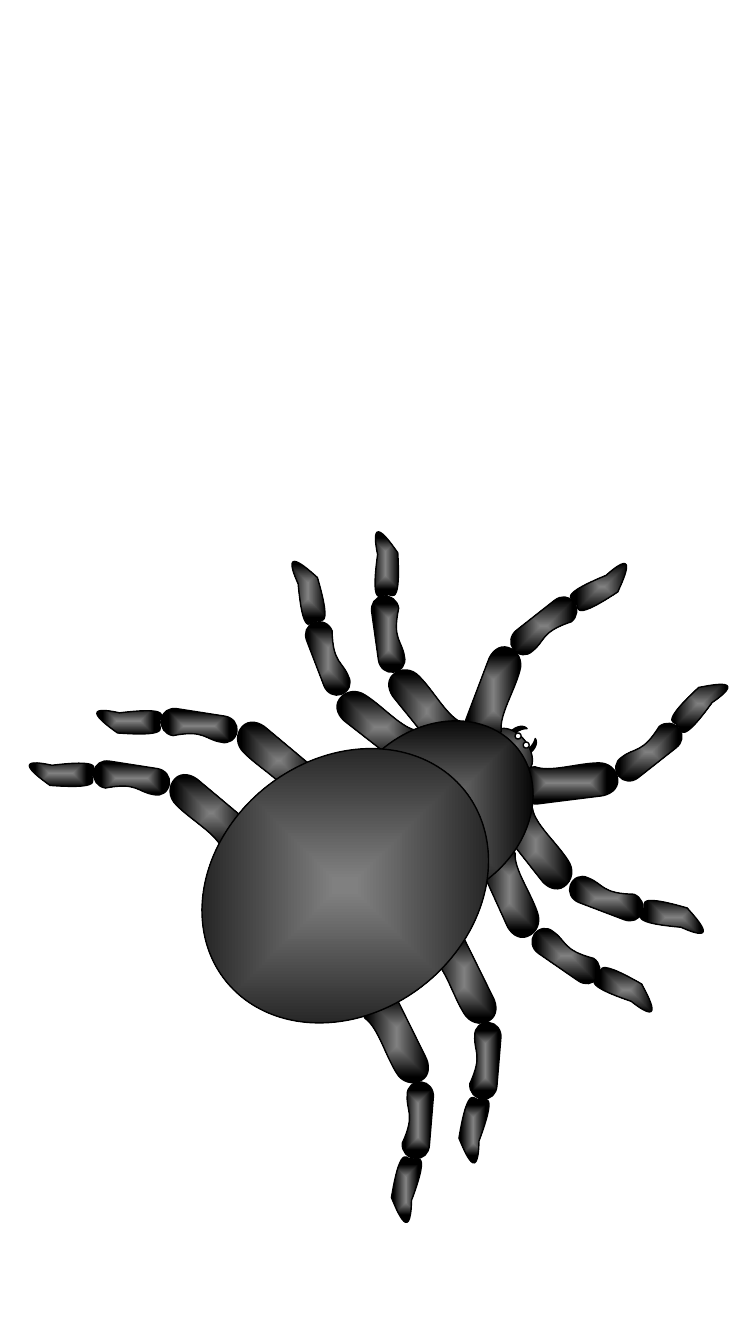
from lxml.etree import SubElement
from pptx import Presentation
from pptx.dml.color import RGBColor
from pptx.enum.shapes import MSO_SHAPE
from pptx.oxml.ns import qn
from pptx.util import Inches, Pt

BLACK, GREY, WHITE = "000000", "808080", "FFFFFF"
KNEE_BEND = 33.8

# Each outline: size, start point, then cubic curves as two handles and an end.
THIGH = ((0.37, 0.99), (0.03, 0.19), [
    ((0.03, 0.1), (0.08, 0), (0.18, 0)),
    ((0.28, 0), (0.36, 0.08), (0.36, 0.19)),
    ((0.37, 0.4), (0.3, 0.67), (0.37, 0.81)),
    ((0.37, 0.91), (0.29, 0.99), (0.18, 0.99)),
    ((0.08, 0.99), (0, 0.92), (0, 0.81))])
SHIN = ((0.27, 0.76), (0, 0.14), [
    ((0, 0.06), (0.05, 0), (0.13, 0)),
    ((0.21, 0), (0.27, 0.06), (0.27, 0.14)),
    ((0.16, 0.44), (0.26, 0.46), (0.26, 0.62)),
    ((0.27, 0.7), (0.21, 0.76), (0.13, 0.76)),
    ((0.06, 0.76), (0, 0.7), (0, 0.62))])
FOOT = ((0.27, 0.64), (0.07, 0.22), [
    ((0.04, -0.26), (0.24, 0.18), (0.27, 0.23)),
    ((0.22, 0.85), (0.13, 0.57), (0.1, 0.64)),
    ((0.09, 0.57), (-0.1, 0.82), (0.07, 0.22))])

# Each leg: thigh angle, mirrored, then left and top of thigh, shin and foot.
LEGS = [
    (18, False, (4.71, 6.4), (5.26, 5.83), (5.84, 5.5)),
    (85.6, True, (5.45, 7.27), (6.3, 7.08), (6.81, 6.66)),
    (144.6, True, (5.13, 7.89), (5.88, 8.53), (6.55, 8.78)),
    (318.2, False, (4.05, 6.56), (3.72, 5.91), (3.69, 5.27)),
    (305.2, False, (3.59, 6.72), (3.12, 6.15), (2.92, 5.54)),
    (158.4, True, (4.87, 8.33), (5.48, 9.1), (6.08, 9.5)),
    (150.9, False, (3.75, 9.79), (4.01, 10.73), (3.89, 11.48)),
    (312.7, True, (1.91, 7.57), (1.17, 7.34), (0.47, 7.35)),
    (312.7, True, (2.58, 7.05), (1.84, 6.82), (1.14, 6.83)),
    (150.9, False, (4.42, 9.2), (4.68, 10.14), (4.56, 10.89)),
]


def rgb(value):
    return RGBColor.from_string(value)


class SpiderSlide:
    """Holds the line style and the slide, and draws each kind of element."""

    line_width = Pt(1)

    def __init__(self, prs):
        self.slide = prs.slides.add_slide(prs.slide_layouts[6])
        self.shapes = self.slide.shapes

    def start_group(self):
        self.shapes = self.slide.shapes.add_group_shape().shapes

    def finish(self, s, fill, line, **attributes):
        s.shadow.inherit = False
        if isinstance(fill, str):
            s.fill.solid()
            s.fill.fore_color.rgb = rgb(fill)
        else:
            self.glow(s, *fill)
        s.line.color.rgb = rgb(line)
        s.line.width = self.line_width
        for name, value in attributes.items():
            setattr(s, name, value)

    def glow(self, s, *stops):
        s.fill.gradient()
        grad = s._element.spPr.find(qn("a:gradFill"))
        for child in list(grad):
            grad.remove(child)
        grad.set("rotWithShape", "1")
        stop_list = SubElement(grad, qn("a:gsLst"))
        for position, color in zip(stops, (GREY, BLACK)):
            gs = SubElement(stop_list, qn("a:gs"), pos=str(position * 1000))
            SubElement(gs, qn("a:srgbClr"), val=color)
        shade = SubElement(grad, qn("a:path"), path="shape")
        SubElement(shade, qn("a:fillToRect"), dict.fromkeys("ltrb", "50000"))

    def preset(self, kind, box, fill, line=BLACK, angle=0):
        s = self.shapes.add_shape(kind, *map(Inches, box))
        self.finish(s, fill, line, rotation=angle)

    def curve(self, s, start, curves):
        outline = next(s._element.iter(qn("a:pathLst")))[0]
        for child in list(outline):
            outline.remove(child)
        for tag, points in [("a:moveTo", [start])] + [("a:cubicBezTo", c) for c in curves]:
            command = SubElement(outline, qn(tag))
            for x, y in points:
                SubElement(command, qn("a:pt"), x=str(Inches(x)), y=str(Inches(y)))
        SubElement(outline, qn("a:close"))

    def segment(self, outline, corner, angle, mirrored):
        (width, height), start, curves = outline
        if mirrored:
            start = (width - start[0], start[1])
            curves = [[(width - x, y) for x, y in c] for c in curves]
        w, h = Inches(width), Inches(height)
        builder = self.shapes.build_freeform(0, 0)
        builder.add_line_segments([(w, 0), (w, h), (0, h)], close=True)
        s = builder.convert_to_shape(*map(Inches, corner))
        self.curve(s, start, curves)
        self.finish(s, (0, 76), BLACK, rotation=angle % 360)

    def leg(self, angle, mirrored, thigh, shin, foot):
        lower = angle + (-KNEE_BEND if mirrored else KNEE_BEND)
        self.segment(THIGH, thigh, angle, mirrored)
        self.segment(SHIN, shin, lower, mirrored)
        self.segment(FOOT, foot, lower, mirrored)


def main():
    prs = Presentation()
    prs.slide_width, prs.slide_height = Inches(7.5), Inches(13.33)
    spider = SpiderSlide(prs)
    tilt = 51.8
    oval = MSO_SHAPE.OVAL
    spider.preset(MSO_SHAPE.RECTANGLE, (0, 4.33, 7.5, 9), WHITE, WHITE)
    spider.start_group()
    spider.preset(MSO_SHAPE.MOON, (5.07, 7.15, 0.08, 0.24), BLACK, angle=tilt)
    spider.preset(MSO_SHAPE.MOON, (5.2, 7.31, 0.08, 0.24), BLACK, angle=tilt + 180)
    spider.preset(oval, (4.81, 7.28, 0.52, 0.35), (0, 100), angle=tilt)
    for leg in LEGS:
        spider.leg(*leg)
    spider.preset(oval, (3.51, 7.04, 1.66, 2.03), (0, 76), angle=tilt)
    spider.preset(oval, (2.17, 7.27, 2.51, 3.03), (3, 100), angle=tilt)
    for left, top in ((5.11, 7.27), (5.19, 7.36)):
        spider.preset(oval, (left, top, 0.06, 0.06), WHITE, angle=tilt)
    prs.save("out.pptx")


if __name__ == "__main__":
    main()
